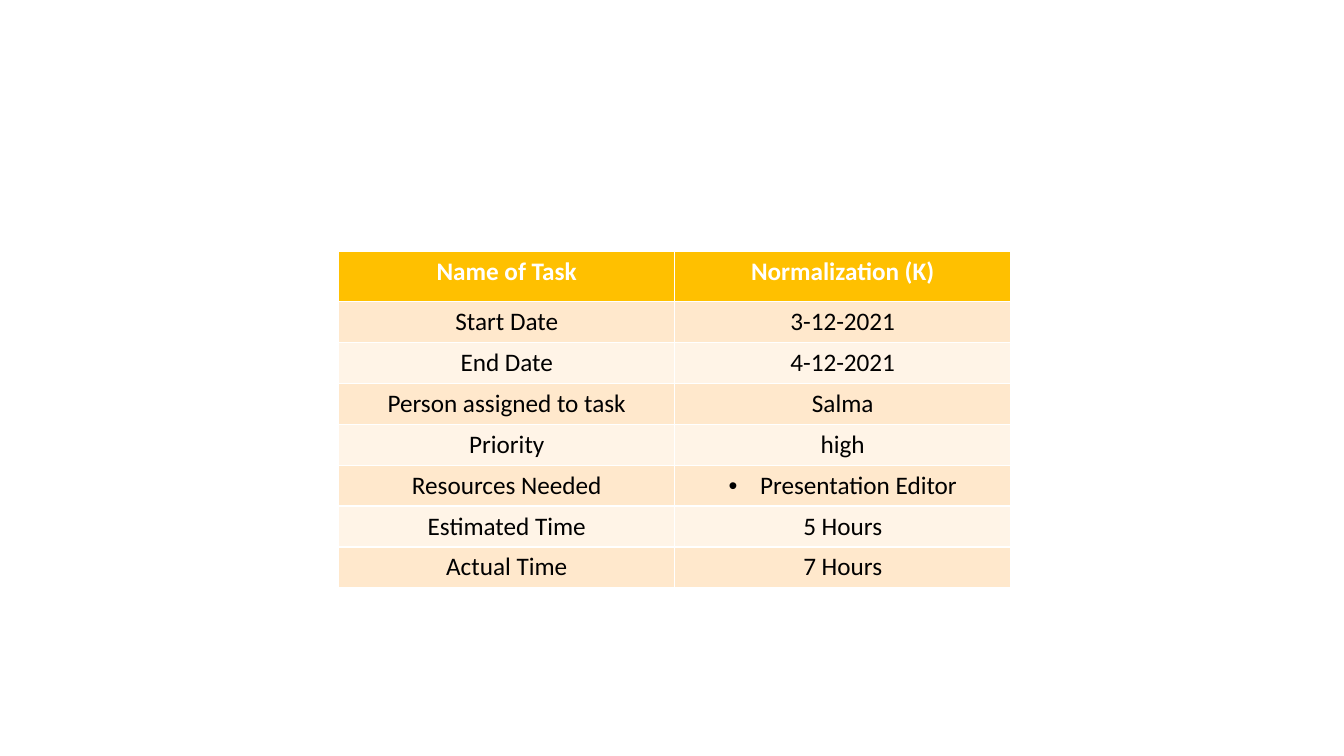
from lxml.etree import SubElement
from pptx import Presentation
from pptx.dml.color import RGBColor
from pptx.enum.text import PP_ALIGN
from pptx.oxml.ns import qn
from pptx.util import Pt

TASK_ROWS = [
    ("Name of Task", "Normalization (K)"),
    ("Start Date", "3-12-2021"),
    ("End Date", "4-12-2021"),
    ("Person assigned to task", "Salma"),
    ("Priority", "high"),
    ("Resources Needed", "Presentation Editor"),
    ("Estimated Time", "5 Hours"),
    ("Actual Time", "7 Hours"),
]
BULLETED = {"Presentation Editor"}
COLORS = {
    "header": "FFC000",
    "odd": "FFE8CC",
    "even": "FFF4E7",
    "header_text": "FFFFFF",
    "body_text": "000000",
}
FONT_NAME, FONT_SIZE = "Calibri", 18
TABLE_LEFT, TABLE_TOP = 242, 179.5
COLUMN_WIDTH, HEADER_HEIGHT, ROW_HEIGHT = 240, 36, 29.2
BULLET_INDENT = 22.5


def color(name):
    return RGBColor.from_string(COLORS[name])


def add_bullet(paragraph):
    properties = paragraph._p.get_or_add_pPr()
    properties.set("marL", str(Pt(BULLET_INDENT)))
    properties.set("indent", str(-Pt(BULLET_INDENT)))
    SubElement(properties, qn("a:buFont"), typeface="Arial")
    SubElement(properties, qn("a:buChar"), char="•")


def fill_cell(cell, text, row_index):
    is_header = row_index == 0
    band = "header" if is_header else "odd" if row_index % 2 else "even"
    cell.fill.solid()
    cell.fill.fore_color.rgb = color(band)
    paragraph = cell.text_frame.paragraphs[0]
    paragraph.text = text
    paragraph.alignment = PP_ALIGN.CENTER
    if text in BULLETED:
        add_bullet(paragraph)
    font = paragraph.runs[0].font
    font.name = FONT_NAME
    font.size = Pt(FONT_SIZE)
    font.bold = is_header
    font.color.rgb = color("header_text" if is_header else "body_text")


def main():
    presentation = Presentation()
    presentation.slide_width, presentation.slide_height = Pt(960), Pt(540)
    slide = presentation.slides.add_slide(presentation.slide_layouts[6])

    row_count, column_count = len(TASK_ROWS), len(TASK_ROWS[0])
    table_height = HEADER_HEIGHT + ROW_HEIGHT * (row_count - 1)
    table = slide.shapes.add_table(
        row_count, column_count, Pt(TABLE_LEFT), Pt(TABLE_TOP),
        Pt(COLUMN_WIDTH * column_count), Pt(table_height),
    ).table
    for column in table.columns:
        column.width = Pt(COLUMN_WIDTH)
    for row_index, texts in enumerate(TASK_ROWS):
        row = table.rows[row_index]
        row.height = Pt(ROW_HEIGHT if row_index else HEADER_HEIGHT)
        for cell, text in zip(row.cells, texts):
            fill_cell(cell, text, row_index)

    presentation.save("out.pptx")


if __name__ == "__main__":
    main()
